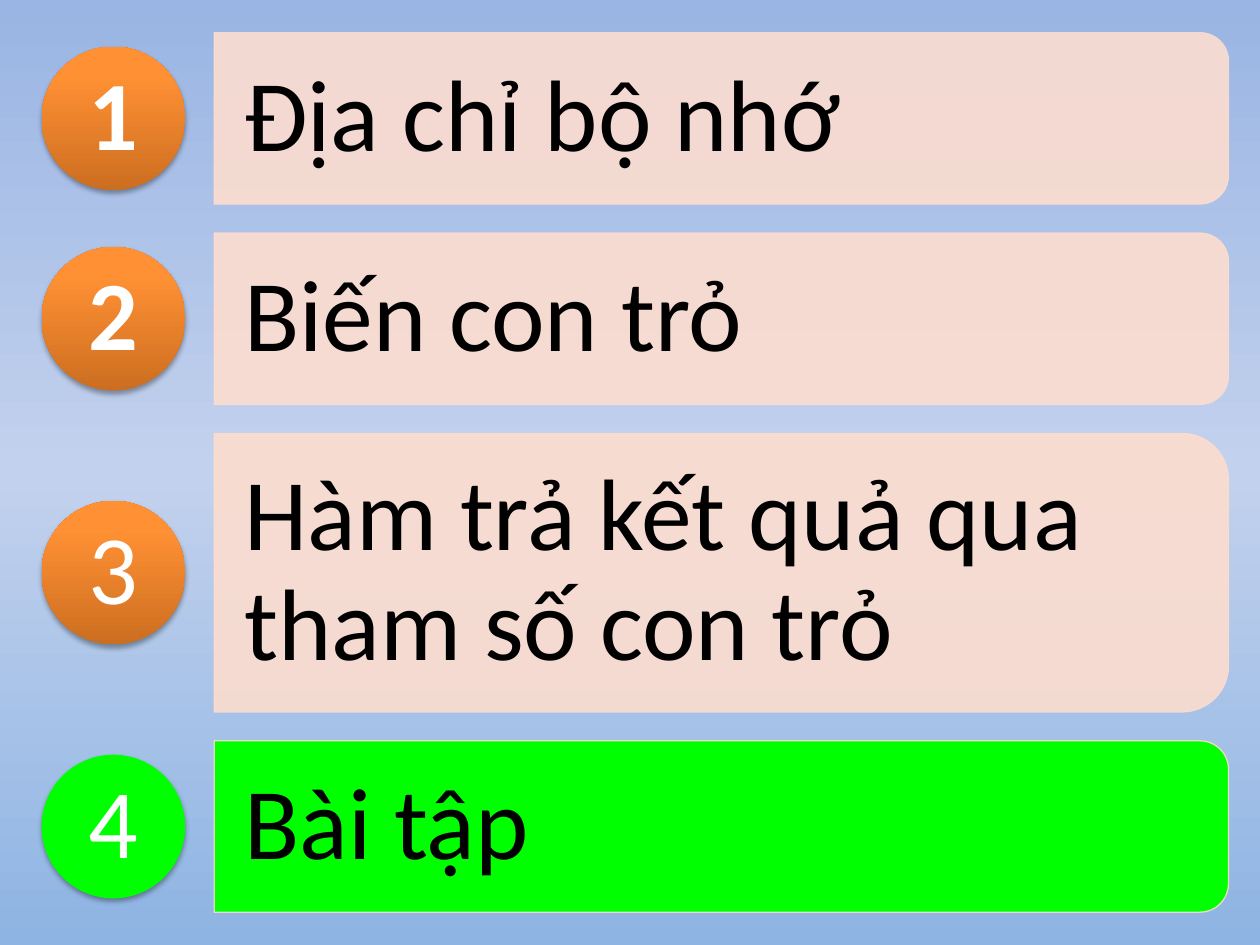
from dataclasses import dataclass

from lxml.etree import SubElement
from pptx import Presentation
from pptx.dml.color import RGBColor
from pptx.enum.shapes import MSO_SHAPE as Shape
from pptx.enum.text import MSO_ANCHOR as Anchor, PP_ALIGN as Align
from pptx.oxml.ns import qn
from pptx.util import Inches, Pt


@dataclass(frozen=True)
class Theme:
    font: str = "Calibri"
    label_size: int = 58
    number_size: int = 56
    label: str = "000000"
    number: str = "FFFFFF"
    bar: str = "FCDDCF"
    active: str = "00FF00"
    shadow: str = "000000"
    sky: tuple = ((0, "9AB5E4"), (50, "C2D1ED"), (100, "8EB4E3"))
    orange: tuple = ((0, "CC6E20"), (80, "FF9034"), (100, "FF9136"))


THEME = Theme()

# Agenda layout, in inches
TOP, GAP = 0.26, 0.23
BAR_LEFT, BAR_WIDTH = 1.7, 8.05
CIRCLE_CENTER, CIRCLE_SIZE, NUMBER_SIZE = 0.9, 1.14, 0.81

# Label, bar height, bold number, active topic
TOPICS = [
    ("Địa chỉ bộ nhớ", 1.36, True, False),
    ("Biến con trỏ", 1.36, True, False),
    ("Hàm trả kết quả qua tham số con trỏ", 2.21, False, False),
    ("Bài tập", 1.36, False, True),
]


def set_solid(fill, color, opacity=100):
    fill.solid()
    fill.fore_color.rgb = RGBColor.from_string(color)
    return opacity


def set_opacity(parent, percent):
    for color in parent.iter(qn("a:srgbClr")):
        SubElement(color, qn("a:alpha"), val=str(percent * 1000))


def set_gradient(fill, owner, stops, angle):
    fill.gradient()
    fill.gradient_angle = angle
    stop_list = owner.find(".//" + qn("a:gsLst"))
    for old_stop in list(stop_list):
        stop_list.remove(old_stop)
    for position, color in stops:
        stop = SubElement(stop_list, qn("a:gs"), pos=str(position * 1000))
        SubElement(stop, qn("a:srgbClr"), val=color)


def add_soft_shadow(shape):
    shape.shadow.inherit = False
    effects = shape._element.spPr.find(qn("a:effectLst"))
    shadow = SubElement(effects, qn("a:outerShdw"), blurRad=str(Pt(3.1)),
                        dist=str(Pt(1.8)), dir="5400000", rotWithShape="0")
    color = SubElement(shadow, qn("a:srgbClr"), val=THEME.shadow)
    SubElement(color, qn("a:alpha"), val="35000")


def add_bar(page, middle, height, active):
    # The upright shape is turned so its rounded corners face right
    center = BAR_LEFT + BAR_WIDTH / 2
    bar = page.shapes.add_shape(
        Shape.ROUND_2_SAME_RECTANGLE,
        Inches(center - height / 2), Inches(middle - BAR_WIDTH / 2),
        Inches(height), Inches(BAR_WIDTH))
    bar.rotation = 90
    bar.shadow.inherit = False
    set_solid(bar.fill, THEME.active if active else THEME.bar)
    set_solid(bar.line.fill, THEME.bar)
    bar.line.width = Pt(0.75)
    properties = bar._element.spPr
    set_opacity(properties.find(qn("a:ln")) if active else properties, 90)


def add_circle(page, middle, active):
    circle = page.shapes.add_shape(
        Shape.OVAL, Inches(CIRCLE_CENTER - CIRCLE_SIZE / 2),
        Inches(middle - CIRCLE_SIZE / 2),
        Inches(CIRCLE_SIZE), Inches(CIRCLE_SIZE))
    if active:
        set_solid(circle.fill, THEME.active)
    else:
        set_gradient(circle.fill, circle._element.spPr, THEME.orange, 90)
    circle.line.fill.background()
    add_soft_shadow(circle)


def add_text(page, text, left, middle, width, height, size, color,
             margins=(0, 0), align=Align.LEFT, bold=False):
    box = page.shapes.add_textbox(Inches(left), Inches(middle - height / 2),
                                  Inches(width), Inches(height))
    frame = box.text_frame
    frame.word_wrap = True
    frame.vertical_anchor = Anchor.MIDDLE
    frame.margin_left = frame.margin_right = Inches(margins[0])
    frame.margin_top = frame.margin_bottom = Inches(margins[1])
    frame.text = text
    para = frame.paragraphs[0]
    para.alignment = align
    para.line_spacing = 0.9
    # Space after as a share of the text size
    after = SubElement(para._p.get_or_add_pPr(), qn("a:spcAft"))
    SubElement(after, qn("a:spcPct"), val="35000")
    font = para.runs[0].font
    font.name, font.size, font.bold = THEME.font, Pt(size), bold
    font.color.rgb = RGBColor.from_string(color)


def add_topic(page, number, label, middle, height, bold, active):
    add_bar(page, middle, height, active)
    add_text(page, label, BAR_LEFT, middle, BAR_WIDTH - 0.05 * height,
             0.9 * height, THEME.label_size, THEME.label, (0.24, 0.16))
    add_circle(page, middle, active)
    add_text(page, str(number), CIRCLE_CENTER - NUMBER_SIZE / 2, middle,
             NUMBER_SIZE, NUMBER_SIZE, THEME.number_size, THEME.number,
             align=Align.CENTER, bold=bold)


def main():
    deck = Presentation()
    deck.slide_width, deck.slide_height = Inches(10), Inches(7.5)
    page = deck.slides.add_slide(deck.slide_layouts[6])

    # Background
    set_gradient(page.background.fill, page._element, THEME.sky, 270)

    # Agenda rows, stacked with equal gaps
    top = TOP
    for number, (label, height, bold, active) in enumerate(TOPICS, 1):
        add_topic(page, number, label, top + height / 2, height, bold, active)
        top += height + GAP

    deck.save("out.pptx")


if __name__ == "__main__":
    main()
